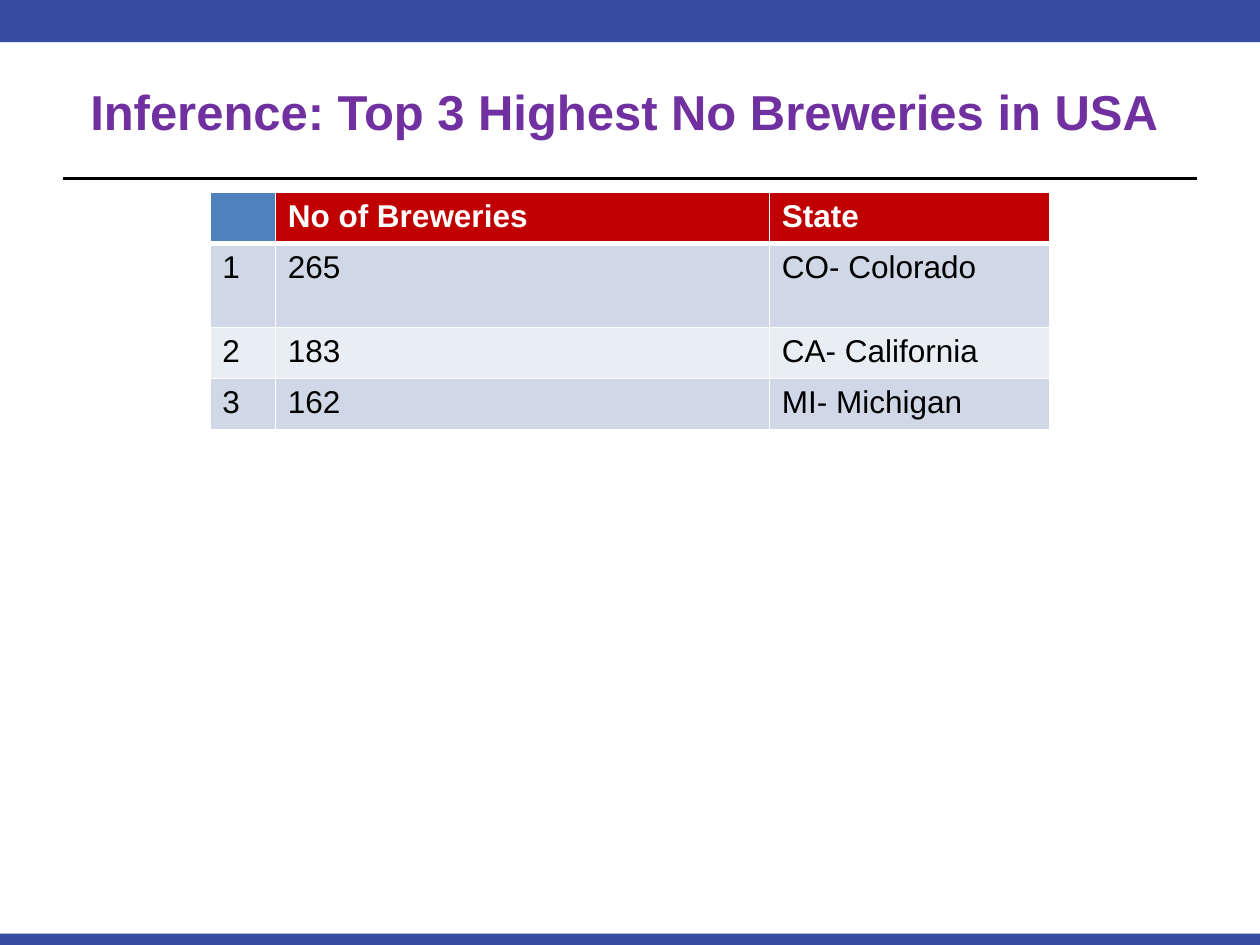
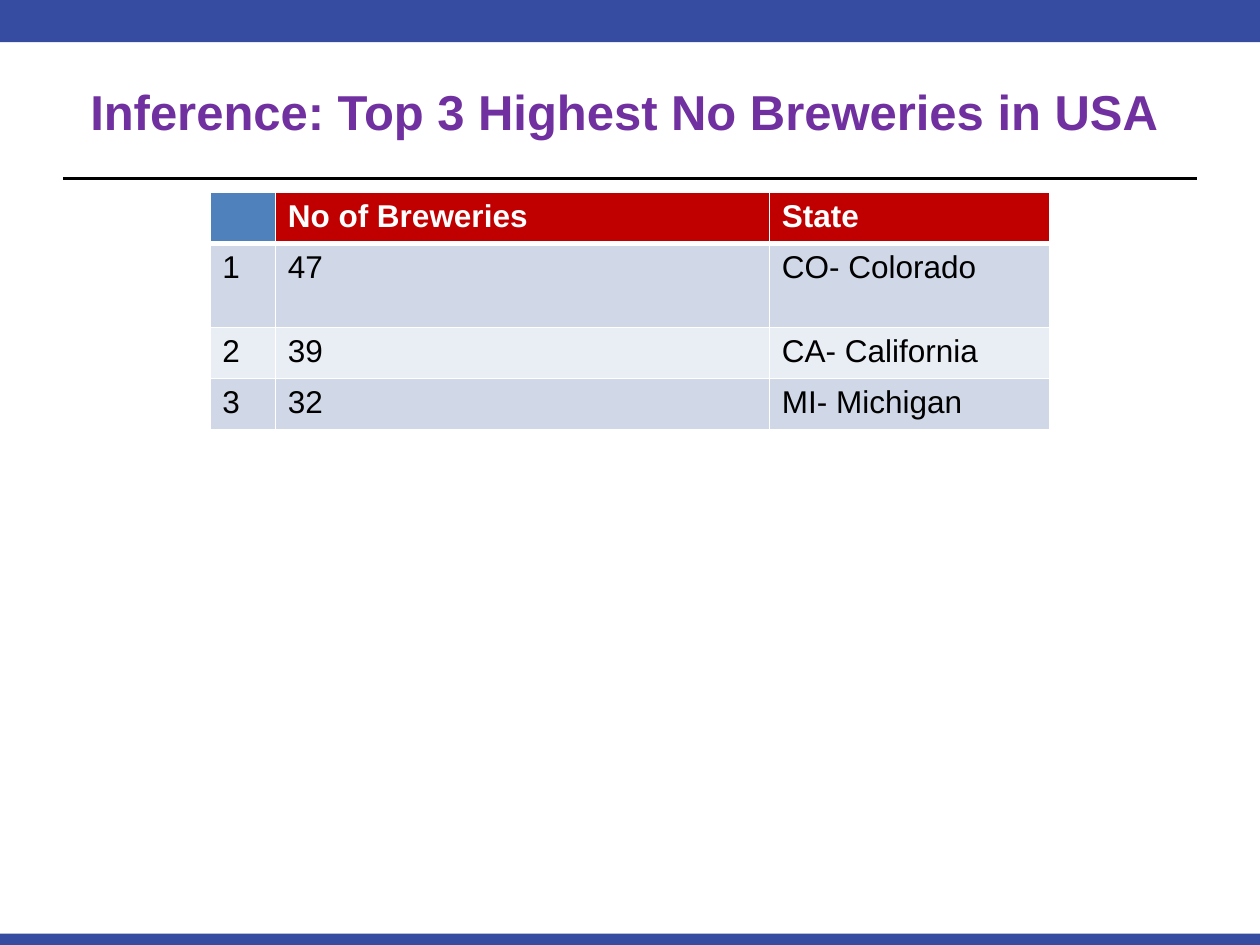
from pptx import Presentation
from pptx.dml.color import RGBColor
from pptx.enum.shapes import MSO_CONNECTOR, MSO_SHAPE
from pptx.enum.text import MSO_ANCHOR, MSO_AUTO_SIZE, PP_ALIGN
from pptx.oxml.ns import qn
from pptx.util import Cm, Pt
from lxml.etree import SubElement

NAVY = RGBColor(0x35, 0x4C, 0xA1)
PURPLE = RGBColor(0x70, 0x30, 0xA0)
BLUE = RGBColor(0x4F, 0x81, 0xBD)
RED = RGBColor(0xC0, 0x00, 0x00)
DARK = RGBColor(0xD0, 0xD8, 0xE8)
PALE = RGBColor(0xE9, 0xED, 0xF4)
BLACK = RGBColor(0, 0, 0)
WHITE = RGBColor(0xFF, 0xFF, 0xFF)

TITLE = "Inference: Top 3 Highest No Breweries in USA "
HEAD = ["", "No of Breweries", "State"]
STATES = ["CO- Colorado", "CA- California", "MI- Michigan"]
COUNTS = [[265, 183, 162], [47, 39, 32]]
WIDTHS = [1.32, 9.96, 5.65]
HEIGHTS = [1.03, 1.69, 1.03, 1.03]


def write(frame, text, size=18, color=BLACK, bold=False, align=PP_ALIGN.LEFT):
    para = frame.paragraphs[0]
    para.alignment = align
    run = para.add_run()
    run.text = text
    font = run.font
    font.name, font.size, font.bold = "Arial", Pt(size), bold
    font.color.rgb = color


def edge(cell, side, width):
    props = cell._tc.get_or_add_tcPr()
    line = SubElement(props, qn(f"a:ln{side}"), w=str(Pt(width)))
    fill = SubElement(line, qn("a:solidFill"))
    SubElement(fill, qn("a:srgbClr"), val=str(WHITE))


class Deck:
    def __init__(self):
        self.show = Presentation()
        self.show.slide_width, self.show.slide_height = Cm(25.4), Cm(19.05)
        self.slide = None

    def page(self, title):
        self.slide = self.show.slides.add_slide(self.show.slide_layouts[5])
        self.band(18.82, 0.23)
        self.band(0, 0.85)
        self.rule(1.27, 24.13, 3.6)
        self.title(title)

    def band(self, top, height):
        band = self.slide.shapes.add_shape(
            MSO_SHAPE.RECTANGLE, 0, Cm(top), self.show.slide_width, Cm(height))
        band.shadow.inherit = False
        band.fill.solid()
        band.fill.fore_color.rgb = NAVY
        band.line.fill.background()

    def rule(self, left, right, top):
        rule = self.slide.shapes.add_connector(
            MSO_CONNECTOR.STRAIGHT, Cm(left), Cm(top), Cm(right), Cm(top))
        rule.line.color.rgb = BLACK
        rule.line.width = Pt(1.25)
        SubElement(rule._element.spPr, qn("a:effectLst"))

    def title(self, text):
        box = self.slide.shapes.title
        box.left, box.top = Cm(1.27), Cm(0.64)
        box.width, box.height = Cm(22.86), Cm(3.18)
        frame = box.text_frame
        frame.auto_size = MSO_AUTO_SIZE.NONE
        frame.vertical_anchor = MSO_ANCHOR.MIDDLE
        write(frame, text, size=28, color=PURPLE, bold=True,
              align=PP_ALIGN.CENTER)

    def table(self, rows):
        grid = self.slide.shapes.add_table(
            len(rows), len(HEAD), Cm(4.23), Cm(3.88),
            Cm(sum(WIDTHS)), Cm(sum(HEIGHTS))).table
        for col, width in zip(grid.columns, WIDTHS):
            col.width = Cm(width)
        for r, row in enumerate(rows):
            grid.rows[r].height = Cm(HEIGHTS[r])
            for c, text in enumerate(row):
                self.cell(grid.cell(r, c), r, c, text)

    def cell(self, cell, r, c, text):
        head = r == 0
        widths = {"L": 1, "R": 1, "T": 3 if r == 1 else 1, "B": 3 if head else 1}
        for side, width in widths.items():
            edge(cell, side, width)
        cell.fill.solid()
        if head:
            fill = RED if c else BLUE
        else:
            fill = DARK if r % 2 else PALE
        cell.fill.fore_color.rgb = fill
        if text:
            write(cell.text_frame, text, color=WHITE if head else BLACK, bold=head)


def main():
    deck = Deck()
    for counts in COUNTS:
        deck.page(TITLE)
        ranks = enumerate(zip(counts, STATES), 1)
        deck.table([HEAD] + [[str(n), str(count), state]
                             for n, (count, state) in ranks])
    deck.show.save("out.pptx")


if __name__ == "__main__":
    main()
